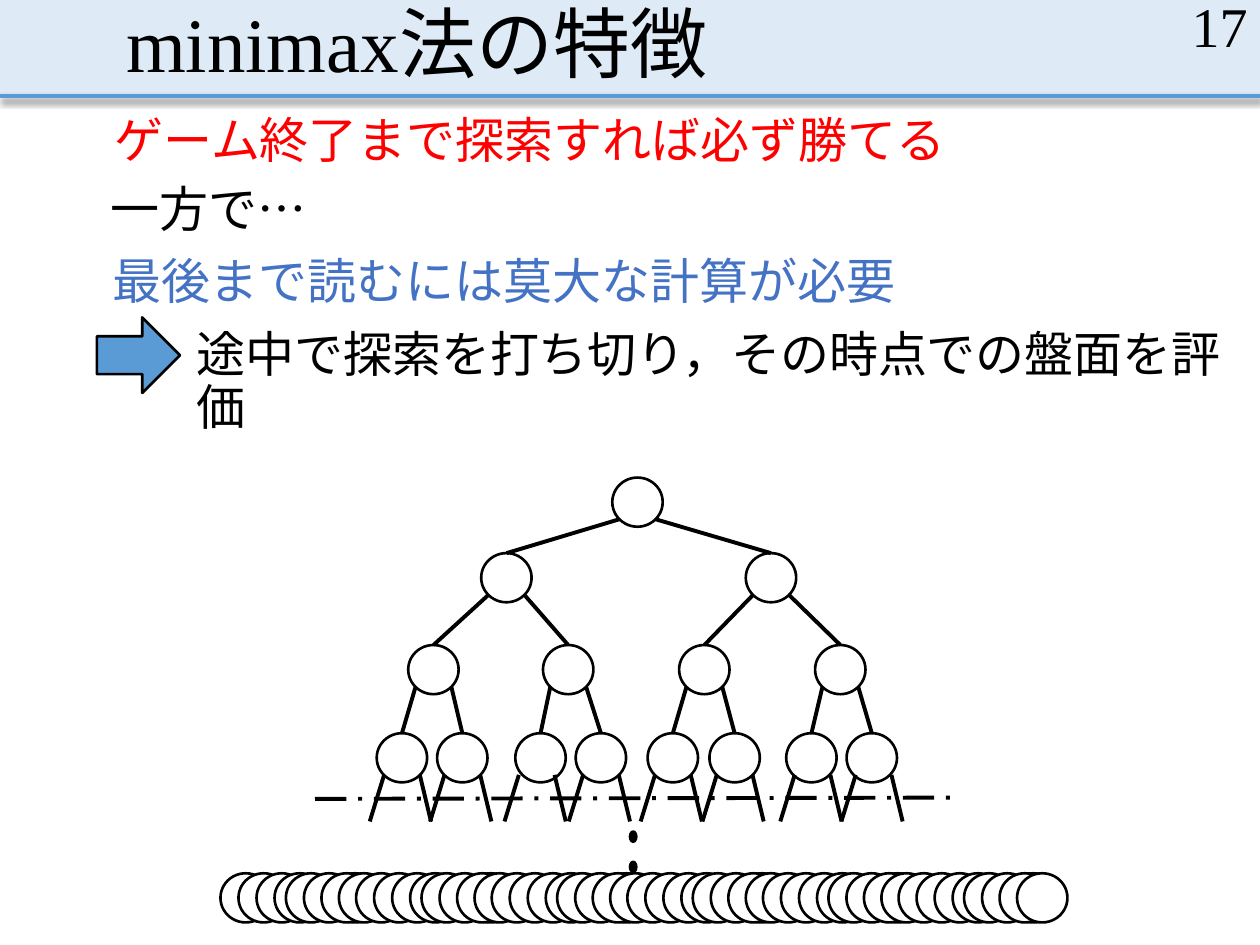
"""Build a slide on the traits of the minimax method, with a game tree."""
from lxml.etree import SubElement
from pptx import Presentation
from pptx.dml.color import RGBColor
from pptx.enum.dml import MSO_LINE
from pptx.enum.lang import MSO_LANGUAGE_ID
from pptx.enum.shapes import MSO_CONNECTOR, MSO_SHAPE
from pptx.enum.text import MSO_ANCHOR, MSO_AUTO_SIZE, PP_ALIGN
from pptx.oxml.ns import qn
from pptx.util import Pt

FONT = "Times New Roman"
BLACK, WHITE, BLUE = "000000", "FFFFFF", "5B9BD5"
TITLE = "minimax法の特徴"
STATEMENTS = [
    ("ゲーム終了まで探索すれば必ず勝てる", "FF0000", (65.5, 62.6, 478, 41.8)),
    ("最後まで読むには莫大な計算が必要", "4472C4", (64.1, 143.3, 450.7, 38.2)),
    ("一方で…", BLACK, (63.4, 102.2, 450.7, 38.2)),
    ("途中で探索を打ち切り，その時点での盤面を評価", BLACK, (112.3, 185, 607.7, 39.6)),
]
NODE_WIDTH, NODE_HEIGHT = 28.8, 28.1
LEVELS = [
    (272.9, [364.3]),
    (316.1, [289.4, 440.6]),
    (368.6, [247.7, 324.7, 402.5, 480.2]),
    (419, [229.7, 264.2, 308.9, 343.4, 384.5, 419.8, 463.7, 498.2]),
]
BRANCH_X, BRANCH_Y = 10.2, 23.8
STUB_SHIFTS = [0, 0, -2.2, 0, 0, 0, 0.6, 1]
STUB_BOTTOM = 469.4
DOT_TOPS = [475.2, 492.5, 509]
CLUSTERS, CLUSTER_STEP = 6, 77.5
CLUSTER_OFFSETS = [0, 10.3, 62.6, 20.6, 30.9, 37.4, 47.7, 57.7, 67.7]
ROW_LEFT, ROW_TOP = 126, 499


def color(value):
    return RGBColor.from_string(value)


def add_shape(shapes, kind, box, fill, line=BLACK):
    shape = shapes.add_shape(kind, *map(Pt, box))
    shape.shadow.inherit = False
    shape.fill.solid()
    shape.fill.fore_color.rgb = color(fill)
    if line:
        shape.line.color.rgb = color(line)
        shape.line.width = Pt(1.5)
    else:
        shape.line.fill.background()
    return shape


def add_node(shapes, left, top):
    return add_shape(shapes, MSO_SHAPE.OVAL, (left, top, NODE_WIDTH, NODE_HEIGHT), WHITE)


def add_line(shapes, *ends, line=BLACK):
    connector = shapes.add_connector(MSO_CONNECTOR.STRAIGHT, *map(Pt, ends))
    connector.line.color.rgb = color(line)
    connector.line.width = Pt(2.25)
    SubElement(connector.element.spPr, qn("a:effectLst"))
    return connector


def add_shadow(connector):
    effects = connector.element.spPr.find(qn("a:effectLst"))
    shadow = SubElement(effects, qn("a:outerShdw"), blurRad=str(Pt(4)), dist=str(Pt(2.5)),
                        dir="5400000", algn="t", rotWithShape="0")
    tint = SubElement(shadow, qn("a:srgbClr"), val=BLACK)
    SubElement(tint, qn("a:alpha"), val="47000")


def set_text(shape, text, size, fill=BLACK, anchor=MSO_ANCHOR.TOP, align=PP_ALIGN.LEFT):
    frame = shape.text_frame
    frame.text = text
    frame.word_wrap = True
    frame.auto_size = MSO_AUTO_SIZE.NONE
    frame.vertical_anchor = anchor
    paragraph = frame.paragraphs[0]
    paragraph.alignment = align
    paragraph.line_spacing = 0.9
    paragraph.font.name = FONT
    paragraph.font.size = Pt(size)
    paragraph.font.color.rgb = color(fill)
    paragraph.runs[0].font.language_id = MSO_LANGUAGE_ID.JAPANESE
    return frame


def add_header(slide):
    add_shape(slide.shapes, MSO_SHAPE.RECTANGLE, (0, 0, 720, 54.7), "DEEBF7", None)
    add_shadow(add_line(slide.shapes, 0, 54.7, 720, 54.7, line=BLUE))
    title = slide.shapes.title
    title.left, title.top, title.width, title.height = map(Pt, (64.8, 0, 594, 54.7))
    set_text(title, TITLE, 44, anchor=MSO_ANCHOR.BOTTOM)
    title.element.getparent().append(title.element)
    number = slide.shapes.add_textbox(*map(Pt, (558, 0, 162, 28.8)))
    frame = set_text(number, "17", 32, anchor=MSO_ANCHOR.MIDDLE, align=PP_ALIGN.RIGHT)
    frame.paragraphs[0].line_spacing = 1


def add_statements(slide):
    for text, fill, box in STATEMENTS:
        frame = set_text(slide.shapes.add_textbox(*map(Pt, box)), text, 28, fill)
        frame.margin_left = frame.margin_right = 0
        frame.paragraphs[0].space_before = Pt(10)
    add_shape(slide.shapes, MSO_SHAPE.RIGHT_ARROW, (55.4, 181.4, 47.5, 43.2), BLUE)


def add_tree(slide):
    shapes = slide.shapes.add_group_shape().shapes
    nodes = [[add_node(shapes, center - NODE_WIDTH / 2, top) for center in centers]
             for top, centers in LEVELS]
    for depth, (top, centers) in enumerate(LEVELS[:-1]):
        child_top, child_centers = LEVELS[depth + 1]
        for index, child_center in enumerate(child_centers):
            side = BRANCH_X if index % 2 else -BRANCH_X
            branch = add_line(shapes, centers[index // 2] + side, top + BRANCH_Y,
                              child_center, child_top)
            branch.end_connect(nodes[depth + 1][index], 0)
    for top in DOT_TOPS:
        add_shape(shapes, MSO_SHAPE.OVAL, (360, top, 3.6, 5.8), BLACK)
    top, centers = LEVELS[-1]
    for center, shift in zip(centers, STUB_SHIFTS):
        for start, end in ((-BRANCH_X, -18.4), (BRANCH_X, 16.6)):
            add_line(shapes, center + shift + start, top + BRANCH_Y,
                     center + shift + end, STUB_BOTTOM)


def add_final_positions(slide):
    shapes = slide.shapes.add_group_shape().shapes
    for cluster in range(CLUSTERS):
        for offset in CLUSTER_OFFSETS:
            add_node(shapes, ROW_LEFT + cluster * CLUSTER_STEP + offset, ROW_TOP)


def main():
    presentation = Presentation()
    presentation.slide_width, presentation.slide_height = Pt(720), Pt(540)
    slide = presentation.slides.add_slide(presentation.slide_layouts[5])
    add_header(slide)
    add_statements(slide)
    cutoff = add_line(slide.shapes, 180, 456.5, 543.6, 455.8)
    cutoff.line.dash_style = MSO_LINE.LONG_DASH_DOT
    add_tree(slide)
    add_final_positions(slide)
    presentation.save("out.pptx")


if __name__ == "__main__":
    main()
